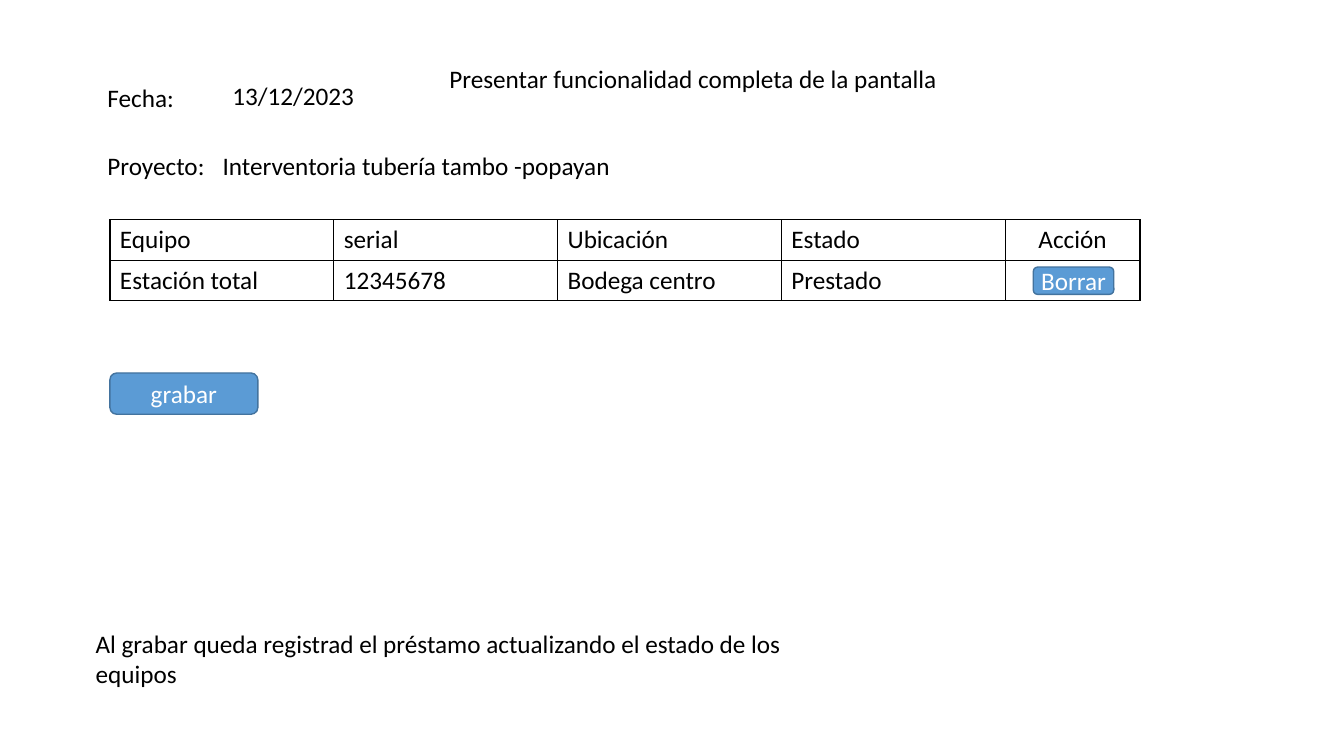
from lxml.etree import SubElement
from pptx import Presentation
from pptx.dml.color import RGBColor
from pptx.enum.shapes import MSO_SHAPE as SHAPE
from pptx.enum.text import MSO_ANCHOR as ANCHOR, MSO_AUTO_SIZE as AUTO, PP_ALIGN as ALIGN
from pptx.oxml.ns import qn
from pptx.util import Cm, Pt

BLACK, WHITE, BLUE, EDGE = "000000", "FFFFFF", "5B9BD5", "43739E"
FONT = {"name": "Calibri", "size": Pt(18), "bold": False}
NO_MARGINS = dict.fromkeys(("margin_left", "margin_top", "margin_right", "margin_bottom"), 0)

TITLE = ("Presentar funcionalidad completa de la pantalla", 11.07, 1.47, 17.81, 1.02)
LABELS = [
    ("Fecha:", 2.46, 1.96, 4.04, 1.02),
    ("13/12/2023", 5.61, 1.91, 3.81, 1.02),
    ("Proyecto:", 2.46, 3.66, 3.38, 1.02),
    ("Interventoria tubería tambo -popayan", 5.36, 3.66, 26.26, 1.02),
    ("Al grabar queda registrad el préstamo actualizando el estado de los equipos",
     2.16, 15.7, 17.81, 1.8),
]
HEADINGS = ["Equipo", "serial", "Ubicación", "Estado"]
LOAN = ["Estación total", "12345678", "Bodega centro", "Prestado"]
ACTIONS = [["Acción"], [""]]
BUTTONS = [
    ("grabar", 2.77, 9.4, 3.73, 1.04, {}),
    ("Borrar", 26.04, 6.73, 2.03, 0.69, NO_MARGINS),
]
TABLE_LEFT, TABLE_TOP, ROW_H, COL_W, ACTION_W = 2.77, 5.54, 1.02, 5.64, 3.4
TABLES = [
    ([HEADINGS], TABLE_LEFT, TABLE_TOP, COL_W, ALIGN.LEFT),
    ([LOAN], TABLE_LEFT, TABLE_TOP + ROW_H, COL_W, ALIGN.LEFT),
    (ACTIONS, TABLE_LEFT + len(HEADINGS) * COL_W, TABLE_TOP, ACTION_W, ALIGN.CENTER),
]


def rgb(color):
    return RGBColor.from_string(color)


def apply(target, values):
    for name, value in values.items():
        setattr(target, name, value)


def write(tf, text, color=BLACK, align=ALIGN.LEFT):
    tf.text = text
    p = tf.paragraphs[0]
    p.alignment = align
    for part in (p, *p.runs):
        apply(part.font, FONT)
        part.font.color.rgb = rgb(color)


def fill_label(sp, text, *box):
    apply(sp, dict(zip(("left", "top", "width", "height"), map(Cm, box))))
    tf = sp.text_frame
    write(tf, text)
    apply(tf, {"word_wrap": True, "auto_size": AUTO.SHAPE_TO_FIT_TEXT,
               "vertical_anchor": ANCHOR.TOP})
    tf.paragraphs[0].line_spacing = 1.0


def add_borders(cell):
    tc_pr = cell._tc.get_or_add_tcPr()
    for side in ("a:lnL", "a:lnR", "a:lnT", "a:lnB"):
        ln = SubElement(tc_pr, qn(side), w=str(Pt(1)))
        SubElement(SubElement(ln, qn("a:solidFill")), qn("a:srgbClr"), val=BLACK)


def add_grid(s, rows, left, top, col_w, align):
    cols = len(rows[0])
    table = s.shapes.add_table(len(rows), cols, Cm(left), Cm(top),
                               Cm(cols * col_w), Cm(len(rows) * ROW_H)).table
    apply(table, {"first_row": False, "horz_banding": False})
    for col in table.columns:
        col.width = Cm(col_w)
    for r, texts in enumerate(rows):
        table.rows[r].height = Cm(ROW_H)
        for c, text in enumerate(texts):
            cell = table.cell(r, c)
            write(cell.text_frame, text, align=align)
            add_borders(cell)
            cell.fill.background()


def add_button(s, text, left, top, width, height, margins):
    sp = s.shapes.add_shape(SHAPE.ROUNDED_RECTANGLE, *map(Cm, (left, top, width, height)))
    sp.shadow.inherit = False
    sp.fill.solid()
    sp.fill.fore_color.rgb = rgb(BLUE)
    sp.line.color.rgb = rgb(EDGE)
    sp.line.width = Pt(1)
    write(sp.text_frame, text, WHITE, ALIGN.CENTER)
    apply(sp.text_frame, {"vertical_anchor": ANCHOR.MIDDLE, **margins})


def main():
    prs = Presentation()
    apply(prs, {"slide_width": Cm(33.87), "slide_height": Cm(19.05)})
    s = prs.slides.add_slide(prs.slide_layouts[5])
    fill_label(s.shapes.title, *TITLE)
    for text, *box in LABELS:
        fill_label(s.shapes.add_textbox(0, 0, 0, 0), text, *box)
    for grid in TABLES:
        add_grid(s, *grid)
    for button in BUTTONS:
        add_button(s, *button)
    prs.save("out.pptx")


if __name__ == "__main__":
    main()
